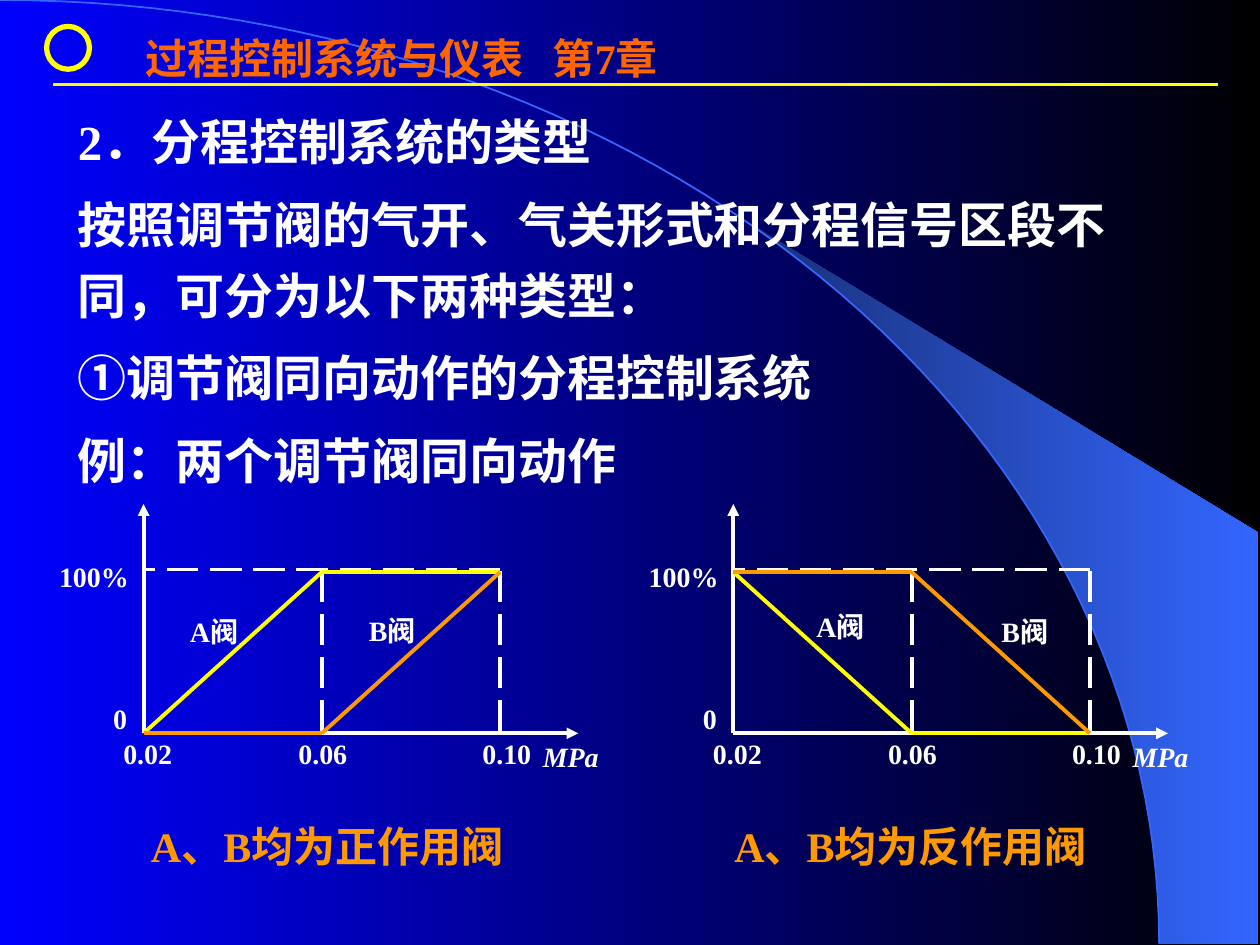
"""Build the slide on types of split-range control systems."""
import math

from lxml import etree
from pptx import Presentation, util as u
from pptx.dml.color import RGBColor
from pptx.enum import dml, shapes, text
from pptx.oxml import ns

WHITE = RGBColor(0xFF, 0xFF, 0xFF)
BLACK = RGBColor(0x00, 0x00, 0x00)
BLUE = RGBColor(0x00, 0x00, 0xFF)
NAVY = RGBColor(0x18, 0x2F, 0x76)
SKY = RGBColor(0x33, 0x66, 0xFF)
YELLOW = RGBColor(0xFF, 0xFF, 0x00)
ORANGE = RGBColor(0xFF, 0x99, 0x00)
DEEP_ORANGE = RGBColor(0xFF, 0x66, 0x00)

ARC_WIDTH, ARC_HEIGHT = 9.2, 7.49
BEAM_START = math.asin(5.89 / ARC_WIDTH)
AXIS_Y, FULL_Y, STEP = 5.82, 4.54, 1.415


def arc_points(start, count=60):
    angles = [start + (math.pi / 2 - start) * i / count for i in range(count + 1)]
    return [(ARC_WIDTH * math.sin(a), ARC_HEIGHT * (1 - math.cos(a))) for a in angles]


def apply_gradient(fill, *colors):
    fill.gradient()
    fill.gradient_angle = 0
    for stop, color, position in zip(fill.gradient_stops, colors, (0, 1)):
        stop.color.rgb = color
        stop.position = position


class SlideBuilder:
    font_name = "Times New Roman"

    def __init__(self, slide):
        self.slide = slide

    def text(self, words, left, top, width, height, size=16, color=WHITE, italic=False,
             align=text.PP_ALIGN.LEFT, anchor=text.MSO_ANCHOR.TOP,
             line_spacing=None, space_before=0, tab=None):
        box = self.slide.shapes.add_textbox(*map(u.Inches, (left, top, width, height)))
        frame = box.text_frame
        frame.word_wrap = True
        frame.vertical_anchor = anchor
        frame.text = words
        for index, paragraph in enumerate(frame.paragraphs):
            paragraph.alignment = align
            if line_spacing:
                paragraph.line_spacing = line_spacing
            if index:
                paragraph.space_before = u.Pt(space_before)
            if tab:
                properties = paragraph._p.get_or_add_pPr()
                tab_list = etree.SubElement(properties, ns.qn("a:tabLst"))
                etree.SubElement(tab_list, ns.qn("a:tab"), pos=str(u.Inches(tab)), algn="l")
            for run in paragraph.runs:
                font = run.font
                font.name, font.size, font.bold = self.font_name, u.Pt(size), True
                font.italic = italic
                font.color.rgb = color

    def line(self, start, end, color=WHITE, width=2.25, dashed=False, arrow=False):
        connector = self.slide.shapes.add_connector(
            shapes.MSO_CONNECTOR.STRAIGHT, *map(u.Inches, (*start, *end)))
        connector.line.color.rgb = color
        connector.line.width = u.Pt(width)
        if dashed:
            connector.line.dash_style = dml.MSO_LINE.LONG_DASH
        if arrow:
            outline = connector.line._get_or_add_ln()
            etree.SubElement(outline, ns.qn("a:tailEnd"), type="triangle")
        etree.SubElement(connector._element.spPr, ns.qn("a:effectLst"))

    def ring(self, left, top, diameter, color):
        shape = self.slide.shapes.add_shape(
            shapes.MSO_SHAPE.OVAL, *map(u.Inches, (left, top, diameter, diameter)))
        shape.shadow.inherit = False
        shape.fill.background()
        shape.line.color.rgb = color
        shape.line.width = u.Pt(3)

    def outline(self, points, close):
        corners = [(u.Inches(x), u.Inches(y)) for x, y in points]
        builder = self.slide.shapes.build_freeform(*corners[0])
        builder.add_line_segments(corners[1:], close=close)
        shape = builder.convert_to_shape()
        shape.shadow.inherit = False
        return shape

    def backdrop(self):
        apply_gradient(self.slide.background.fill, BLUE, BLACK)
        beam = self.outline(arc_points(BEAM_START) + [(9.99, 7.49), (9.99, 4.23)], True)
        apply_gradient(beam.fill, NAVY, SKY)
        beam.line.fill.background()
        arc = self.outline(arc_points(0), False)
        arc.fill.background()
        arc.line.color.rgb = SKY
        arc.line.width = u.Pt(1)

    def valve_plot(self, origin, curves, valve_labels):
        """Draw one valve characteristic plot; curves hold openings at three signals."""
        signals = [origin + STEP * i for i in range(3)]
        self.line((origin, AXIS_Y), (origin, 4), arrow=True)
        self.line((origin, AXIS_Y), (origin + 3.45, AXIS_Y), arrow=True)
        self.line((signals[2], 4.52), (origin, 4.52), dashed=True)
        for x in signals[1:]:
            self.line((x, 4.53), (x, 5.81), dashed=True)
        for color, openings in curves:
            points = [(x, AXIS_Y + (FULL_Y - AXIS_Y) * opening)
                      for x, opening in zip(signals, openings)]
            for start, end in zip(points, points[1:]):
                self.line(start, end, color)
        labels = [("100%", -0.77, 4.39, 0.82, 0.25), ("0", -0.34, 5.52, 0.44, 0.32),
                  ("0.02", -0.26, 5.8, 0.82, 0.36), ("0.06", 1.13, 5.8, 0.86, 0.31),
                  ("0.10", 2.59, 5.8, 0.78, 0.31), *valve_labels]
        for words, offset, *box in labels:
            self.text(words, origin + offset, *box, align=text.PP_ALIGN.JUSTIFY)
        self.text("MPa", origin + 3.07, 5.82, 0.81, 0.36, italic=True,
                  align=text.PP_ALIGN.JUSTIFY)


def main():
    presentation = Presentation()
    presentation.slide_width, presentation.slide_height = u.Inches(10), u.Inches(7.5)
    builder = SlideBuilder(presentation.slides.add_slide(presentation.slide_layouts[6]))

    builder.backdrop()
    builder.line((0.42, 0.67), (9.67, 0.67), YELLOW, width=1.5)
    builder.text("过程控制系统与仪表\t第7章", 1.06, 0.21, 4.7, 0.5, size=24,
                 color=DEEP_ORANGE, tab=3.23)
    builder.ring(0.37, 0.21, 0.34, YELLOW)

    body = ("2．分程控制系统的类型",
            "按照调节阀的气开、气关形式和分程信号区段不同，可分为以下两种类型：",
            "①调节阀同向动作的分程控制系统",
            "例：两个调节阀同向动作")
    builder.text("\n".join(body), 0.52, 0.74, 8.6, 3.2, size=28, line_spacing=1.2,
                 space_before=7, anchor=text.MSO_ANCHOR.MIDDLE)

    builder.valve_plot(1.14, [(YELLOW, (0, 1, 1)), (ORANGE, (0, 0, 1))],
                       [("A阀", 0.27, 4.83, 0.7, 0.43), ("B阀", 1.69, 4.82, 0.6, 0.43)])
    builder.valve_plot(5.82, [(YELLOW, (1, 0, 0)), (ORANGE, (1, 1, 0))],
                       [("A阀", 0.56, 4.79, 0.71, 0.43), ("B阀", 2.03, 4.83, 0.6, 0.43)])
    for words, left in (("A、B均为正作用阀", 1.1), ("A、B均为反作用阀", 5.73)):
        builder.text(words, left, 6.46, 3.6, 0.5, size=24, color=ORANGE)

    presentation.save("out.pptx")


if __name__ == "__main__":
    main()
